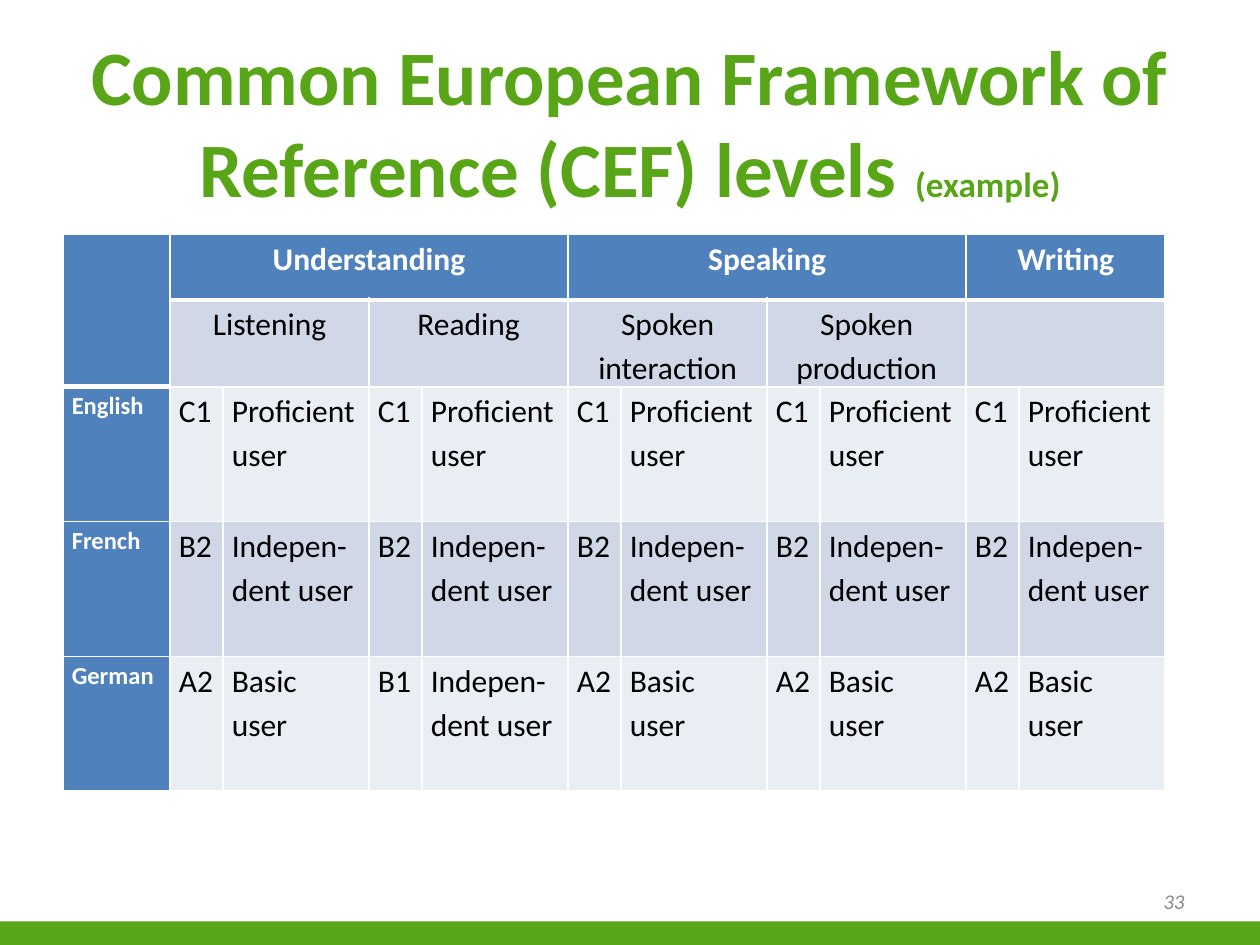
import lxml.etree
import pptx
import pptx.dml.color
import pptx.enum.shapes
import pptx.enum.text
import pptx.oxml.ns
import pptx.util

COLORS = {"green": "58A618", "blue": "4F81BD", "band": "D0D8E8", "pale": "E9EDF4",
          "white": "FFFFFF", "black": "000000", "gray": "898989"}
ALIGN = pptx.enum.text.PP_ALIGN
MIDDLE = pptx.enum.text.MSO_ANCHOR.MIDDLE
PAGE_WIDTH, PAGE_HEIGHT = 10, 7.5
COLUMN_WIDTHS = [0.85] + [0.42, 1.16] * 5
ROW_HEIGHTS = [0.52, 0.52, 1.07, 1.07, 1.07]
GROUPS = [("Understanding", 1, 4), ("Speaking", 5, 4), ("Writing", 9, 2)]
SKILLS = ["Listening", "Reading", "Spoken interaction", "Spoken production", ""]
USERS = {"A": "Basic user", "B": "Indepen-dent user", "C": "Proficient user"}
LANGUAGES = {
    "English": ["C1"] * 5,
    "French": ["B2"] * 5,
    "German": ["A2", "B1", "A2", "A2", "A2"],
}


def rgb(name):
    """Return the named colour."""
    return pptx.dml.color.RGBColor.from_string(COLORS[name])


def share(left, top, width, height):
    """Turn shares of the page into a box of lengths."""
    sides = (PAGE_WIDTH, PAGE_HEIGHT, PAGE_WIDTH, PAGE_HEIGHT)
    return [pptx.util.Inches(part * side) for part, side in zip((left, top, width, height), sides)]


def write(para, text, size=18, color="black", bold=False, italic=False, align=ALIGN.LEFT, spacing=1.0):
    """Add one formatted span of text to a paragraph."""
    para.alignment = align
    para.line_spacing = spacing
    span = para.add_run()
    span.text = text
    span.font.name = "Calibri"
    span.font.size = pptx.util.Pt(size)
    span.font.bold = bold
    span.font.italic = italic
    span.font.color.rgb = rgb(color)


def add_text_box(page, box):
    """Add a wrapping, vertically centred text box and return its paragraph."""
    frame = page.shapes.add_textbox(*box).text_frame
    frame.word_wrap = True
    frame.vertical_anchor = MIDDLE
    return frame.paragraphs[0]


def add_title(page, box):
    """Place the title with its smaller remark."""
    para = add_text_box(page, box)
    for text, size in (("Common European Framework of Reference (CEF) levels ", 44), ("(example)", 20)):
        write(para, text, size=size, color="green", bold=True, align=ALIGN.CENTER)


def add_footer(page, bar_box, number_box):
    """Place the bottom bar and the page number."""
    bar = page.shapes.add_shape(pptx.enum.shapes.MSO_SHAPE.RECTANGLE, *bar_box)
    bar.shadow.inherit = False
    bar.fill.solid()
    bar.fill.fore_color.rgb = rgb("green")
    bar.line.fill.background()
    write(add_text_box(page, number_box), "33", size=12, color="gray", italic=True, align=ALIGN.RIGHT)


def style_cell(cell, fill, bottom=1, right_margin=0.07):
    """Give a cell its margins, white borders and fill."""
    cell.margin_left = pptx.util.Inches(0.07)
    cell.margin_right = pptx.util.Inches(right_margin)
    cell.margin_top = cell.margin_bottom = 0
    properties = cell._tc.get_or_add_tcPr()
    for side, width in (("L", 1), ("R", 1), ("T", 1), ("B", bottom)):
        line = lxml.etree.SubElement(properties, pptx.oxml.ns.qn(f"a:ln{side}"), w=str(pptx.util.Pt(width)))
        solid = lxml.etree.SubElement(line, pptx.oxml.ns.qn("a:solidFill"))
        lxml.etree.SubElement(solid, pptx.oxml.ns.qn("a:srgbClr"), val=COLORS["white"])
    cell.fill.solid()
    cell.fill.fore_color.rgb = rgb(fill)


def cell_fill(row, column):
    """Choose the fill for a place in the table."""
    if row == 0 or column == 0:
        return "blue"
    return "band" if row % 2 else "pale"


def fill_cell(cell, text, **style):
    """Write text into a table cell."""
    if text:
        write(cell.text_frame.paragraphs[0], text, spacing=1.15, **style)


def add_levels_table(page, box):
    """Place the table of language levels."""
    table = page.shapes.add_table(len(ROW_HEIGHTS), len(COLUMN_WIDTHS), *box).table
    table.first_row = table.horz_banding = False
    for column, width in zip(table.columns, COLUMN_WIDTHS):
        column.width = pptx.util.Inches(width)
    for row, height in zip(table.rows, ROW_HEIGHTS):
        row.height = pptx.util.Inches(height)
    for row in range(len(ROW_HEIGHTS)):
        for column, width in enumerate(COLUMN_WIDTHS):
            heading = row == 0 or (row, column) == (1, 0)
            style_cell(table.cell(row, column), cell_fill(row, column),
                       bottom=3 if heading else 1, right_margin=0.1 if width > 1 else 0.07)

    table.cell(0, 0).merge(table.cell(1, 0))
    for text, start, count in GROUPS:
        table.cell(0, start).merge(table.cell(0, start + count - 1))
        fill_cell(table.cell(0, start), text, color="white", bold=True, align=ALIGN.CENTER)
    for index, skill in enumerate(SKILLS):
        start = 1 + 2 * index
        table.cell(1, start).merge(table.cell(1, start + 1))
        fill_cell(table.cell(1, start), skill, align=ALIGN.CENTER)
    for row, (language, levels) in enumerate(LANGUAGES.items(), start=2):
        fill_cell(table.cell(row, 0), language, size=14, color="white", bold=True)
        for index, level in enumerate(levels):
            fill_cell(table.cell(row, 1 + 2 * index), level)
            fill_cell(table.cell(row, 2 + 2 * index), USERS[level[0]])


def main():
    """Build and save the deck."""
    deck = pptx.Presentation()
    deck.slide_width = pptx.util.Inches(PAGE_WIDTH)
    deck.slide_height = pptx.util.Inches(PAGE_HEIGHT)
    page = deck.slides.add_slide(deck.slide_layouts[6])
    add_footer(page, share(0, 0.975, 1, 0.026), share(0.717, 0.927, 0.233, 0.053))
    add_title(page, share(0.05, 0.044, 0.9, 0.167))
    add_levels_table(page, share(0.05, 0.248, 0.875, 0.567))
    deck.save("out.pptx")


if __name__ == "__main__":
    main()
